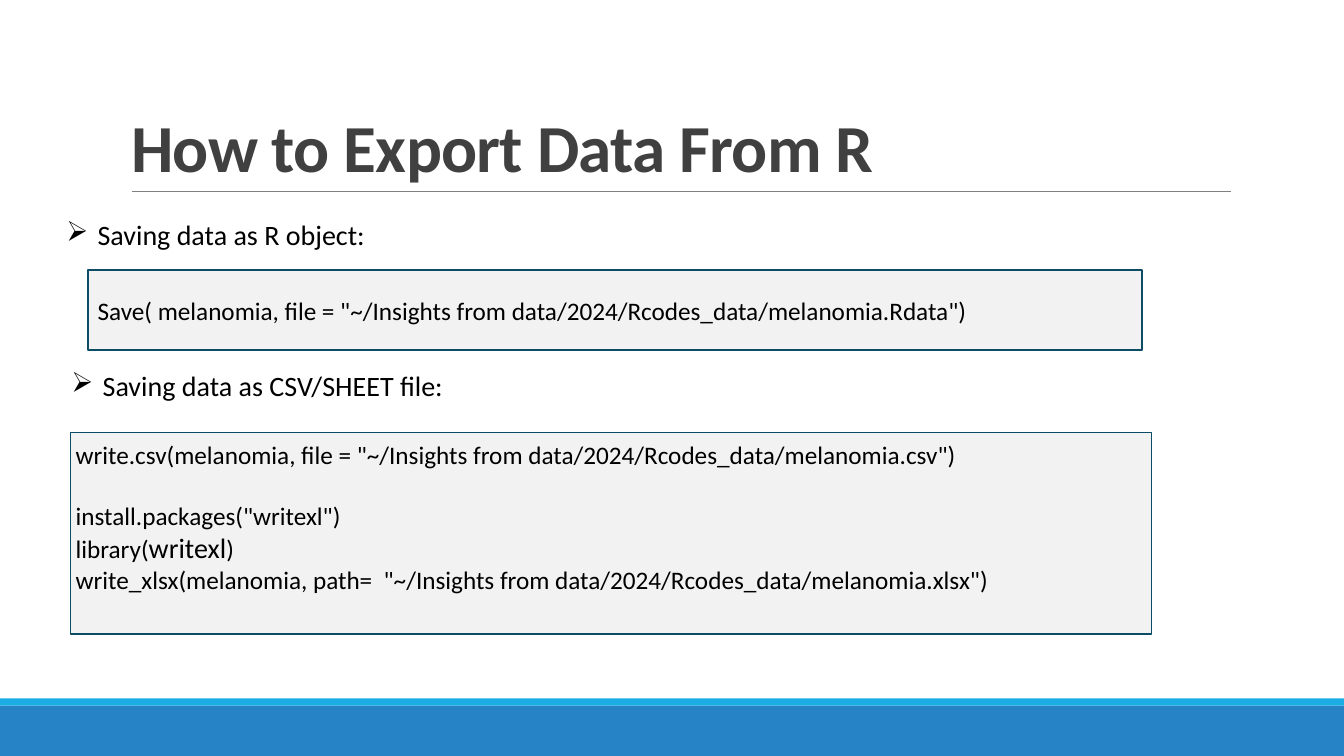
import pptx
import pptx.util
import pptx.dml.color
import pptx.enum.shapes
import pptx.enum.text
import pptx.oxml.ns
from dataclasses import dataclass
from lxml import etree

TITLE = "How to Export Data From R"
HEADS = [
    ("Saving data as R object:", (0.56, 2.11, 3.56, 0.44)),
    ("Saving data as CSV/SHEET file:", (0.61, 3.61, 3.89, 0.44)),
]
SAVE = [['Save( melanomia, file = "~/Insights from data/2024/Rcodes_data/melanomia.Rdata")']]
WRITE = [
    ['write.csv(melanomia, file = "~/Insights from data/2024/Rcodes_data/melanomia.csv")'],
    ['install.packages("writexl")'],
    ["library(", "writexl", ")"],
    ['write_xlsx(melanomia, path=  "~/Insights from data/2024/Rcodes_data/melanomia.xlsx")'],
]
WIDE, HIGH = 13.33, 7.5


@dataclass
class Theme:
    font: str = "Calibri"
    title: str = "404040"
    ink: str = "000000"
    fill: str = "F2F2F2"
    edge: str = "0C4C64"
    rule: str = "808080"
    base: str = "2683C6"
    strip: str = "1CADE4"
    big: int = 48
    head: int = 20
    code: int = 18


theme = Theme()
MSO = pptx.enum.text.MSO_ANCHOR


def tint(code):
    return pptx.dml.color.RGBColor.from_string(code)


def inches(spot):
    return [pptx.util.Inches(n) for n in spot]


def style(font, size, color):
    font.name = theme.font
    font.size = pptx.util.Pt(size)
    font.color.rgb = tint(color)


def add_box(slide, spot, fill, edge=None):
    box = slide.shapes.add_shape(pptx.enum.shapes.MSO_SHAPE.RECTANGLE, *inches(spot))
    box.shadow.inherit = False
    box.fill.solid()
    box.fill.fore_color.rgb = tint(fill)
    if edge:
        box.line.color.rgb = tint(edge)
        box.line.width = pptx.util.Pt(1.25)
    else:
        box.line.fill.background()
    return box


def add_code(slide, spot, lines, anchor):
    frame = add_box(slide, spot, theme.fill, theme.edge).text_frame
    frame.word_wrap = True
    frame.vertical_anchor = anchor
    for num, parts in enumerate(lines):
        para = frame.add_paragraph() if num else frame.paragraphs[0]
        para.alignment = pptx.enum.text.PP_ALIGN.LEFT
        style(para.font, theme.code, theme.ink)
        for part in parts:
            run = para.add_run()
            run.text = part
            if part == "writexl":
                run.font.size = pptx.util.Pt(theme.head)
    return frame


def add_head(slide, text, spot):
    frame = slide.shapes.add_textbox(*inches(spot)).text_frame
    frame.word_wrap = True
    para = frame.paragraphs[0]
    para.text = text
    style(para.font, theme.head, theme.ink)
    props = para._p.get_or_add_pPr()
    dent = pptx.util.Inches(0.31)
    props.set("marL", str(dent))
    props.set("indent", str(-dent))
    mark = etree.Element(pptx.oxml.ns.qn("a:buChar"), char="➢")
    props.insert(0, mark)


def add_title(slide):
    title = slide.shapes.title
    title.left, title.top, title.width, title.height = inches((1.2, 0.31, 11, 1.59))
    frame = title.text_frame
    frame.text = TITLE
    frame.word_wrap = True
    frame.vertical_anchor = MSO.BOTTOM
    para = frame.paragraphs[0]
    para.alignment = pptx.enum.text.PP_ALIGN.LEFT
    para.line_spacing = 0.85
    style(para.font, theme.big, theme.title)
    para.font.bold = True
    para.runs[0]._r.get_or_add_rPr().set("spc", "-50")


def add_rule(slide):
    kind = pptx.enum.shapes.MSO_CONNECTOR.STRAIGHT
    rule = slide.shapes.add_connector(kind, *inches((1.31, 1.9, 12.21, 1.9)))
    rule.line.color.rgb = tint(theme.rule)
    rule.line.width = pptx.util.Pt(0.5)
    etree.SubElement(rule._element.spPr, pptx.oxml.ns.qn("a:effectLst"))


def main():
    deck = pptx.Presentation()
    deck.slide_width, deck.slide_height = inches((WIDE, HIGH))
    slide = deck.slides.add_slide(deck.slide_layouts[5])
    add_box(slide, (0, 7, WIDE, 0.5), theme.base)
    add_box(slide, (0, 6.93, WIDE, 0.07), theme.strip)
    add_rule(slide)
    add_title(slide)
    for text, spot in HEADS:
        add_head(slide, text, spot)
    add_code(slide, (0.87, 2.68, 10.46, 0.79), SAVE, MSO.MIDDLE)
    frame = add_code(slide, (0.7, 4.29, 10.72, 2), WRITE, MSO.TOP)
    frame.margin_left = pptx.util.Inches(0.05)
    frame.margin_right = 0
    frame.margin_top = pptx.util.Inches(0.07)
    frame.paragraphs[1].space_before = pptx.util.Pt(22)
    deck.save("out.pptx")


if __name__ == "__main__":
    main()
